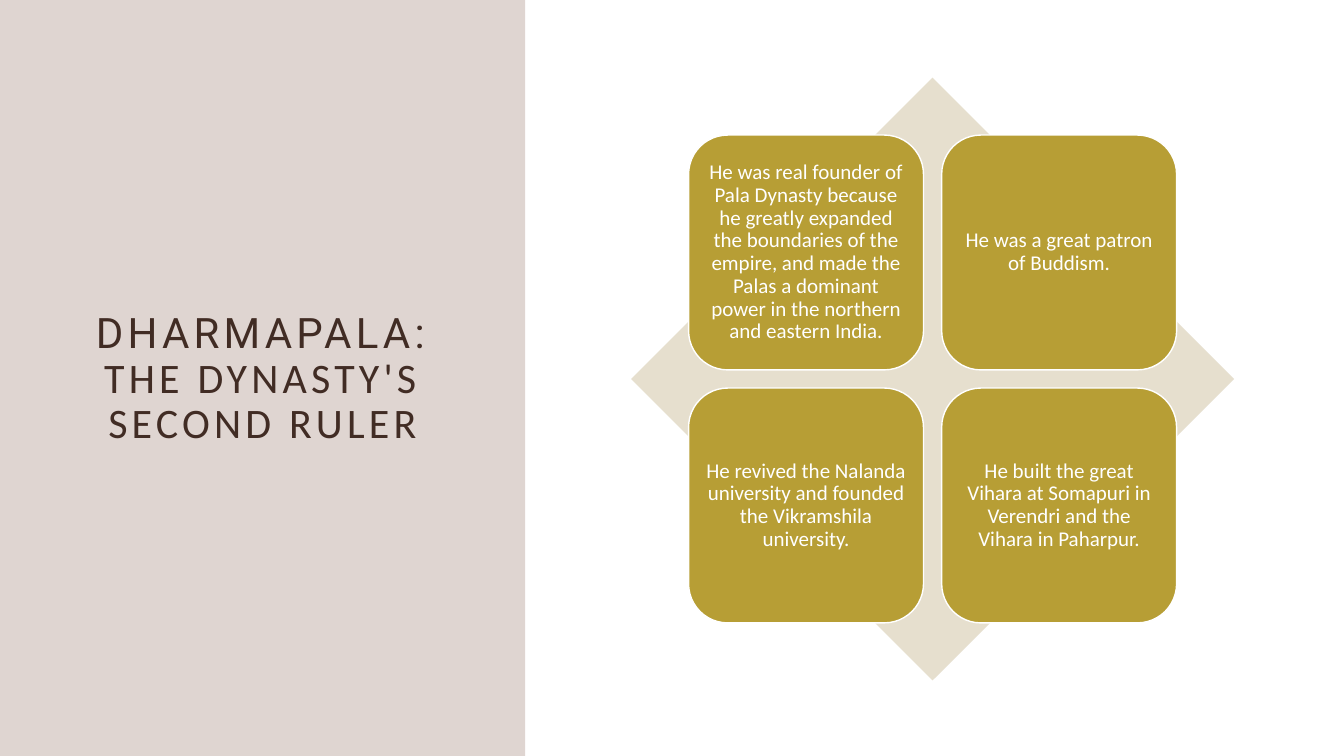
from dataclasses import dataclass

from lxml.etree import SubElement
from pptx import Presentation
from pptx.dml.color import RGBColor
from pptx.enum.shapes import MSO_SHAPE
from pptx.enum.text import MSO_ANCHOR, MSO_AUTO_SIZE, PP_ALIGN
from pptx.oxml.ns import qn
from pptx.util import Inches, Pt


@dataclass(frozen=True)
class Theme:
    panel: RGBColor = RGBColor.from_string("835948")
    title: RGBColor = RGBColor.from_string("412C24")
    diamond: RGBColor = RGBColor.from_string("E6DFCE")
    card: RGBColor = RGBColor.from_string("B79E35")
    white: RGBColor = RGBColor.from_string("FFFFFF")
    head: str = "Roboto"
    body: str = "Calibri"
    big: Pt = Pt(30)
    small: Pt = Pt(15)


theme = Theme()
deck = Presentation()
deck.slide_width, deck.slide_height = Inches(13.33), Inches(7.5)
slide = deck.slides.add_slide(deck.slide_layouts[5])
shapes = slide.shapes


def add_block(kind, left, top, width, height, color):
    block = shapes.add_shape(
        kind, Inches(left), Inches(top), Inches(width), Inches(height))
    block.shadow.inherit = False
    block.fill.solid()
    block.fill.fore_color.rgb = color
    block.line.fill.background()
    return block


def set_text(frame, runs, size, color):
    """Centre one paragraph of (text, font name) runs in the frame."""
    frame.word_wrap = True
    frame.auto_size = MSO_AUTO_SIZE.NONE
    frame.vertical_anchor = MSO_ANCHOR.MIDDLE
    para = frame.paragraphs[0]
    para.alignment = PP_ALIGN.CENTER
    para.line_spacing = 0.9
    for text, name in runs:
        run = para.add_run()
        run.text = text
        run.font.name = name
        run.font.size = size
        run.font.color.rgb = color


# Left panel, behind the title
panel = add_block(MSO_SHAPE.RECTANGLE, 0, 0, 5.21, 7.5, theme.panel)
tint = panel.fill._xPr.find(qn("a:solidFill"))[0]
SubElement(tint, qn("a:alpha")).set("val", "25000")
shapes._spTree.insert(2, panel._element)

title = shapes.title
title.left, title.top = Inches(0.75), Inches(0.77)
title.width, title.height = Inches(3.71), Inches(6)
set_text(title.text_frame,
         [("DHARMAPALA: ", theme.head),
          ("THE DYNASTY'S SECOND RULER", theme.body)],
         theme.big, theme.title)
for run in title.text_frame.paragraphs[0].runs:
    run.font._element.set("spc", "300")

# Diamond with a two by two grid of cards
add_block(MSO_SHAPE.DIAMOND, 6.26, 0.77, 5.98, 5.98, theme.diamond)

facts = [
    "He was real founder of Pala Dynasty because he greatly expanded the "
    "boundaries of the empire, and made the Palas a dominant power in the "
    "northern and eastern India.",
    "He was a great patron of Buddism.",
    "He revived the Nalanda university and founded the Vikramshila "
    "university.",
    "He built the great Vihara at Somapuri in Verendri and the Vihara in "
    "Paharpur.",
]
side, step = 2.33, 2.51
for i, fact in enumerate(facts):
    row, col = divmod(i, 2)
    card = add_block(MSO_SHAPE.ROUNDED_RECTANGLE, 6.83 + col * step,
                     1.34 + row * step, side, side, theme.card)
    card.line.color.rgb = theme.white
    card.line.width = Pt(1)
    frame = card.text_frame
    frame.margin_left = frame.margin_right = Inches(0.06)
    frame.margin_top = frame.margin_bottom = Inches(0.06)
    set_text(frame, [(fact, theme.body)], theme.small, theme.white)

deck.save("out.pptx")
